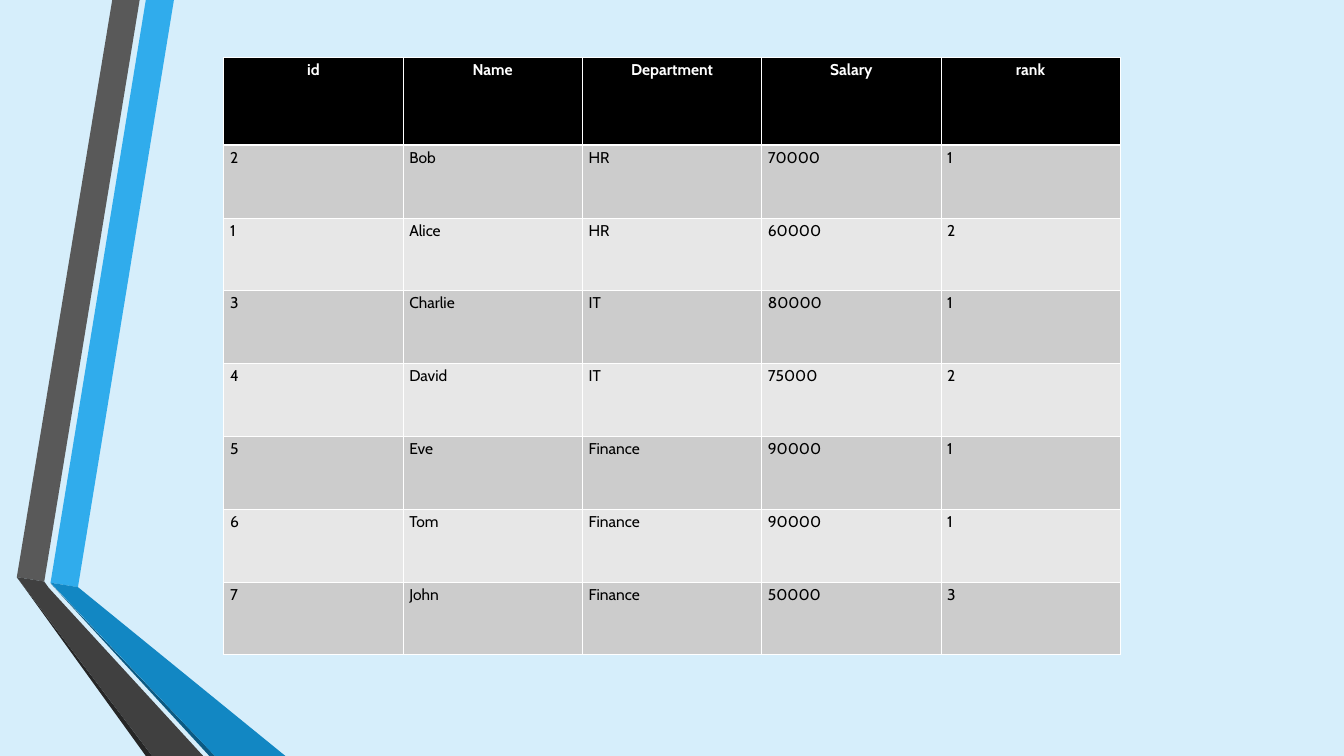
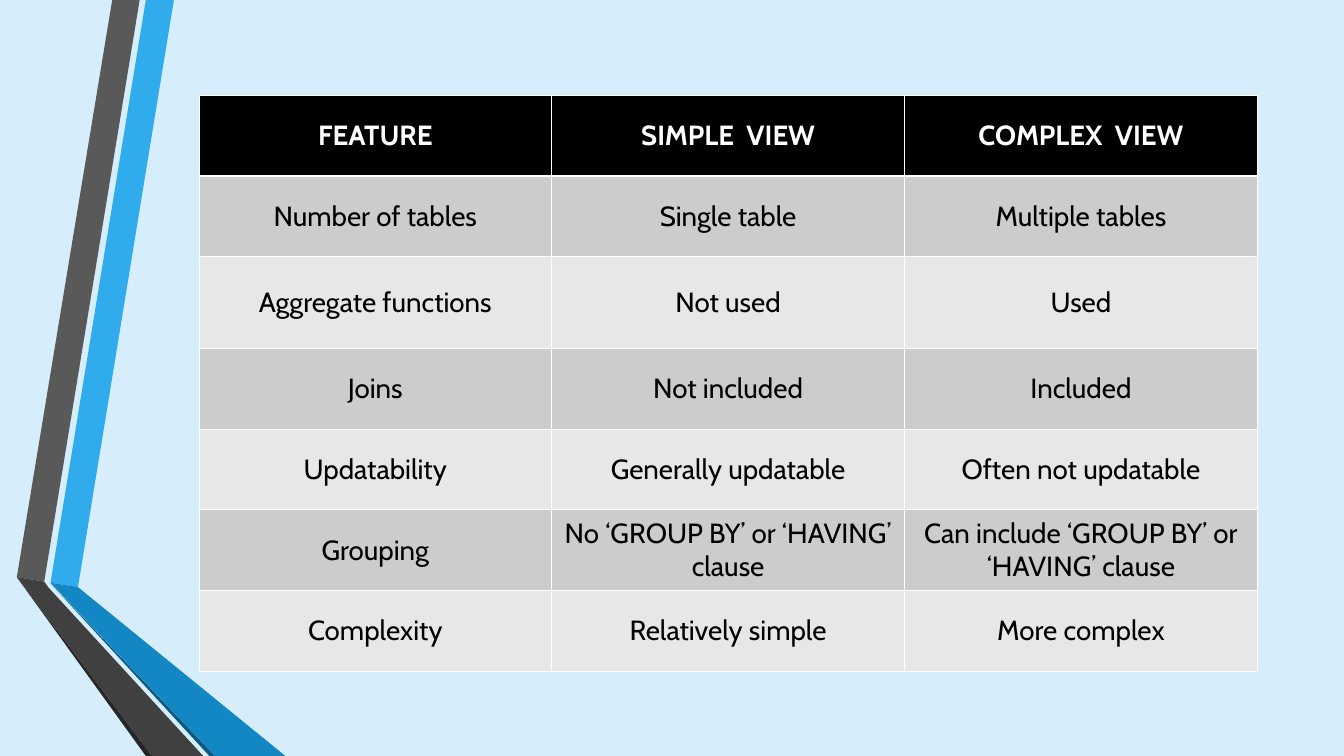
"""Build two table slides that share a pale blue ground and folded bands."""
from dataclasses import dataclass

from lxml.etree import SubElement as Sub
from pptx import Presentation as Deck
from pptx.dml.color import RGBColor as Rgb
from pptx.enum.text import MSO_ANCHOR as Anchor, PP_ALIGN as Align
from pptx.oxml.ns import qn
from pptx.util import Inches, Pt


@dataclass(frozen=True)
class Theme:
    font: str = "Cabin"
    small: int = 18
    large: int = 32
    ground: str = "D6EEFB"
    light: str = "FFFFFF"
    dark: str = "000000"
    odd: str = "CCCCCC"
    even: str = "E7E7E7"
    thin: float = 1
    thick: float = 3
    blue: str = "30ACEC"
    gray: str = "595959"
    coal: str = "262626"
    navy: str = "0C5A82"
    azure: str = "1287C3"
    slate: str = "404040"


THEME = Theme()

BANDS = [
    (THEME.blue, [(3.76, 77.08), (5.8, 77.66), (12.94, 0), (10.85, 0)]),
    (THEME.gray, [(10.39, 0), (8.35, 0), (1.25, 76.34), (3.29, 76.92)]),
    (THEME.coal, [(1.25, 76.34), (10.85, 100), (11.32, 100)]),
    (THEME.navy, [(3.76, 77.16), (15.58, 100), (16, 100)]),
    (THEME.azure, [(3.76, 77.08), (16, 100), (21.24, 100), (5.8, 77.66)]),
    (THEME.slate, [(15.12, 100), (3.62, 77.74), (3.29, 76.92),
                   (1.25, 76.34), (11.32, 100)]),
]

RANKS = [
    ("id", "Name", "Department", "Salary", "rank"),
    ("2", "Bob", "HR", "70000", "1"),
    ("1", "Alice", "HR", "60000", "2"),
    ("3", "Charlie", "IT", "80000", "1"),
    ("4", "David", "IT", "75000", "2"),
    ("5", "Eve", "Finance", "90000", "1"),
    ("6", "Tom", "Finance", "90000", "1"),
    ("7", "John", "Finance", "50000", "3"),
]

VIEWS = [
    ("FEATURE", "SIMPLE  VIEW", "COMPLEX  VIEW"),
    ("Number of tables", "Single table", "Multiple tables"),
    ("Aggregate functions", "Not used", "Used"),
    ("Joins", "Not included", "Included"),
    ("Updatability", "Generally updatable", "Often not updatable"),
    ("Grouping", "No ‘GROUP BY’ or ‘HAVING’ clause",
     "Can include ‘GROUP BY’ or ‘HAVING’ clause"),
    ("Complexity", "Relatively simple", "More complex"),
]


def paint(fill, tone):
    fill.solid()
    fill.fore_color.rgb = Rgb.from_string(tone)


def write(frame, text, size=THEME.small, tone=THEME.dark, bold=False,
          align=Align.LEFT):
    para = frame.paragraphs[0]
    para.alignment = align
    run = para.add_run()
    run.text = text
    font = run.font
    font.name, font.size, font.bold = THEME.font, Pt(size), bold
    font.color.rgb = Rgb.from_string(tone)


def edge(cell, **sides):
    props = cell._tc.get_or_add_tcPr()
    for side, width in sides.items():
        line = Sub(props, qn(f"a:ln{side}"), w=str(Pt(width)))
        Sub(Sub(line, qn("a:solidFill")), qn("a:srgbClr"), val=THEME.light)


class Pen:
    def __init__(self, wide, high):
        self.deck = Deck()
        self.deck.slide_width = Inches(wide)
        self.deck.slide_height = Inches(high)
        paint(self.deck.slide_master.background.fill, THEME.ground)

    def across(self, share):
        return round(self.deck.slide_width * share / 100)

    def down(self, share):
        return round(self.deck.slide_height * share / 100)

    def page(self):
        self.slide = self.deck.slides.add_slide(self.deck.slide_layouts[6])
        for tone, points in BANDS:
            self.band(tone, points)

    def band(self, tone, points):
        first, *rest = [(self.across(x), self.down(y)) for x, y in points]
        draft = self.slide.shapes.build_freeform(*first)
        draft.add_line_segments(rest, close=True)
        shape = draft.convert_to_shape()
        shape.shadow.inherit = False
        paint(shape.fill, tone)
        shape.line.fill.background()

    def table(self, data, left, top, wide, highs, size, align, anchor):
        count = len(data[0])
        grid = self.slide.shapes.add_table(
            len(data), count, self.across(left), self.down(top),
            self.across(wide), self.down(sum(highs))).table
        grid.horz_banding = False
        for col in grid.columns:
            col.width = self.across(wide / count)
        for r, (texts, high) in enumerate(zip(data, highs)):
            grid.rows[r].height = self.down(high)
            head = r == 0
            fill = THEME.dark if head else THEME.odd if r % 2 else THEME.even
            for c, text in enumerate(texts):
                cell = grid.cell(r, c)
                edge(cell, L=THEME.thin, R=THEME.thin,
                     T=THEME.thick if r == 1 else THEME.thin,
                     B=THEME.thick if head else THEME.thin)
                paint(cell.fill, fill)
                cell.vertical_anchor = anchor
                write(cell.text_frame, text, size=size, bold=head,
                      tone=THEME.light if head else THEME.dark,
                      align=Align.CENTER if head else align)


def main():
    pen = Pen(21.56, 12.13)
    pen.page()
    pen.table(RANKS, 16.65, 7.58, 66.7, [11.62] + [9.63] * 7,
              THEME.small, Align.LEFT, Anchor.TOP)
    pen.page()
    pen.table(VIEWS, 14.8, 12.65, 78.76, [10.66] * 2 + [12.16] + [10.66] * 4,
              THEME.large, Align.CENTER, Anchor.MIDDLE)
    pen.deck.save("out.pptx")


if __name__ == "__main__":
    main()
